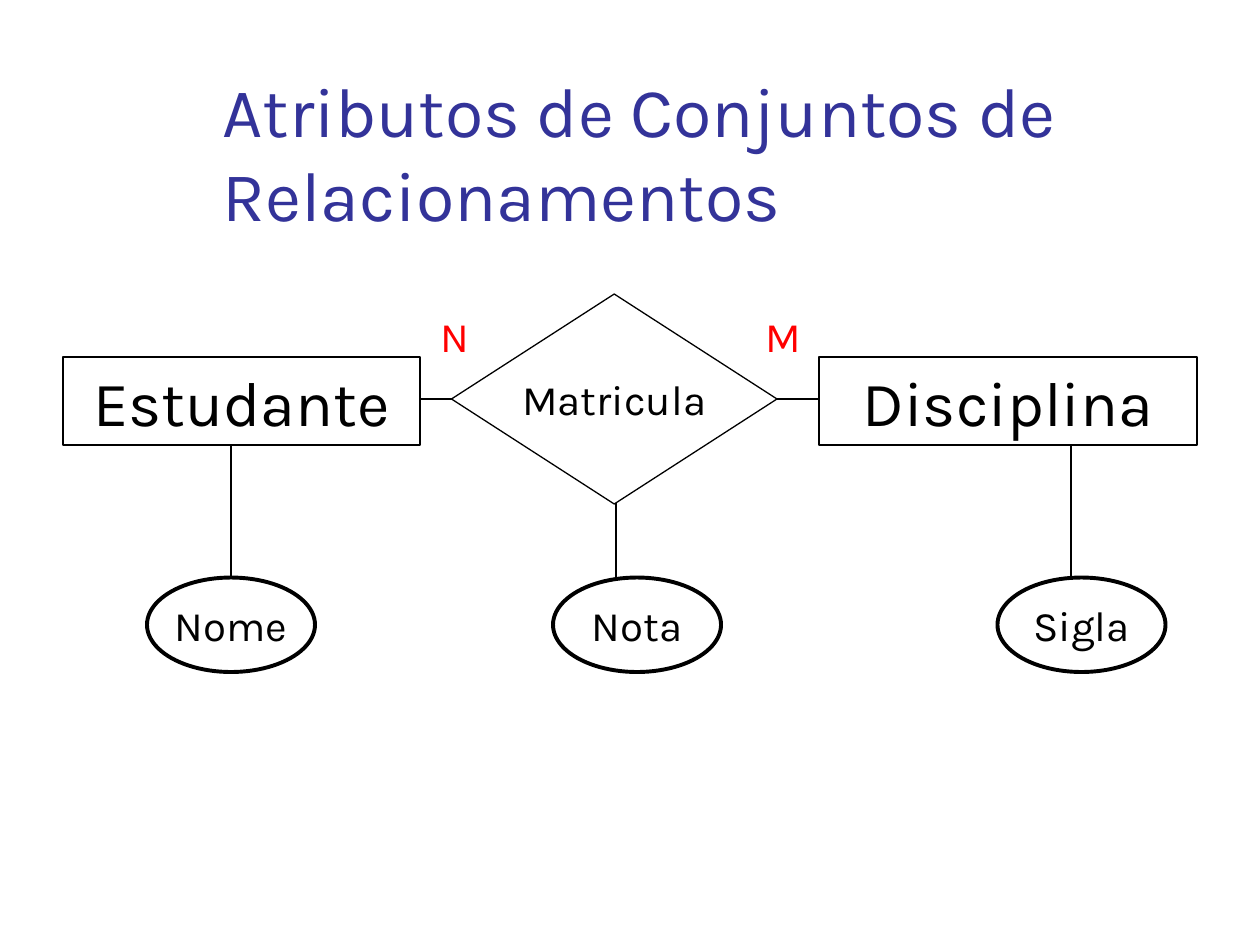
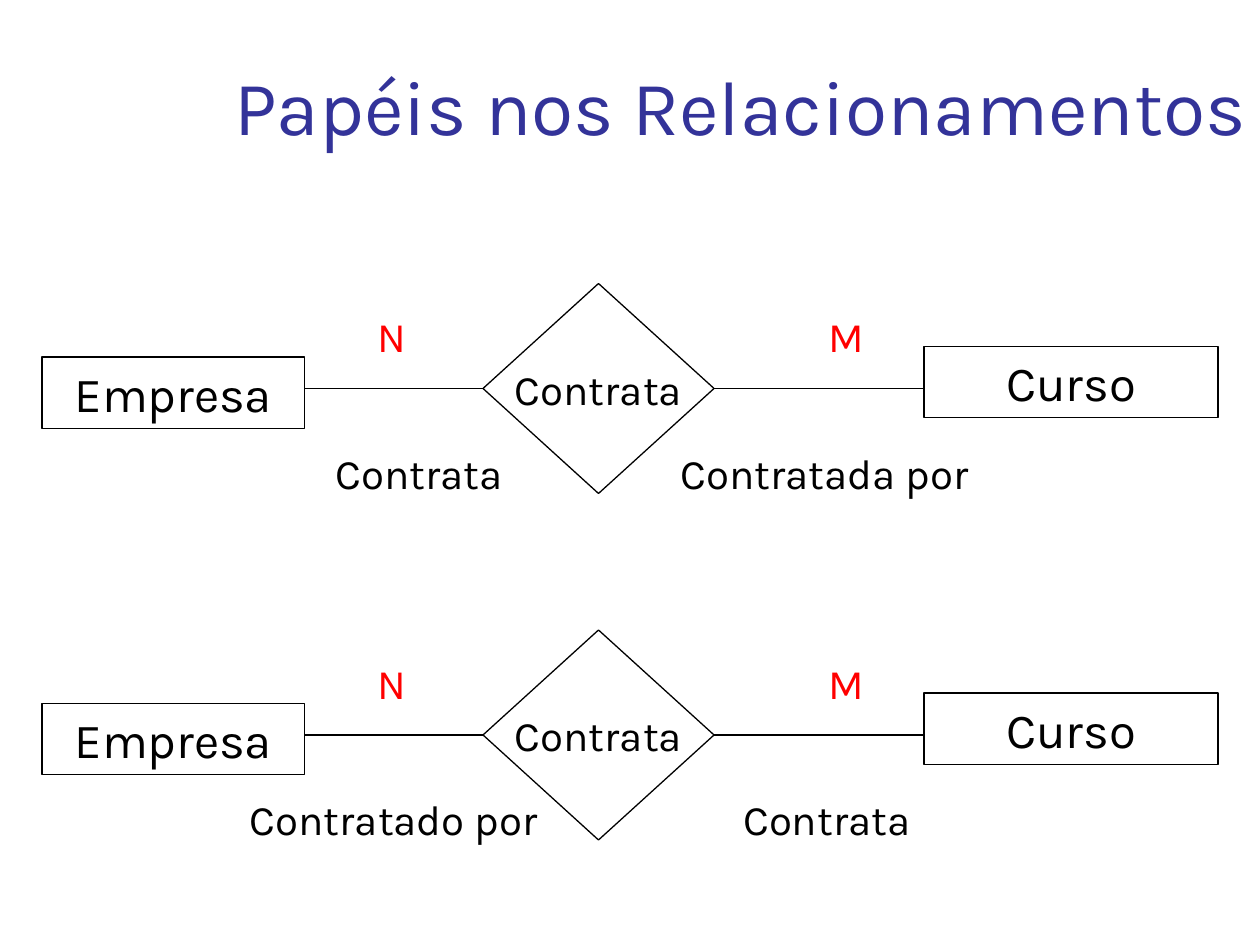
from dataclasses import dataclass

import pptx
import pptx.dml.color
import pptx.enum.shapes
import pptx.enum.text
import pptx.oxml.ns
import pptx.util
from lxml import etree

Pt = pptx.util.Pt
RGB = pptx.dml.color.RGBColor
SHAPE = pptx.enum.shapes.MSO_SHAPE
ALIGN = pptx.enum.text.PP_ALIGN
ANCHOR = pptx.enum.text.MSO_ANCHOR
AUTO = pptx.enum.text.MSO_AUTO_SIZE


@dataclass(frozen=True)
class Theme:
    font: str = "Karla"
    ink: RGB = RGB(0, 0, 0)
    paper: RGB = RGB(255, 255, 255)
    title: RGB = RGB(0x33, 0x33, 0x99)
    cardinality: RGB = RGB(255, 0, 0)
    label_size: float = 24
    entity_size: float = 28
    large_entity_size: float = 36
    thin: float = 0.75
    medium: float = 1.5
    thick: float = 2.25


THEME = Theme()


def write_text(tf, text, size=THEME.label_size, color=THEME.ink,
               align=ALIGN.CENTER, anchor=ANCHOR.TOP, wrap=False, auto=AUTO.NONE):
    tf.word_wrap = wrap
    tf.auto_size = auto
    tf.vertical_anchor = anchor
    p = tf.paragraphs[0]
    p.alignment = align
    r = p.add_run()
    r.text = text
    r.font.name = THEME.font
    r.font.size = Pt(size)
    r.font.color.rgb = color


def add_title(s, text, left, top, width, height, size, align):
    sp = s.shapes.title
    sp.left, sp.top, sp.width, sp.height = map(Pt, (left, top, width, height))
    write_text(sp.text_frame, text, size=size, color=THEME.title, align=align,
               anchor=ANCHOR.BOTTOM, wrap=True)


def add_line(s, x1, y1, x2, y2, weight=THEME.thin):
    line = s.shapes.add_connector(pptx.enum.shapes.MSO_CONNECTOR.STRAIGHT,
                                  Pt(x1), Pt(y1), Pt(x2), Pt(y2))
    line.line.color.rgb = THEME.ink
    line.line.width = Pt(weight)
    etree.SubElement(line._element.spPr, pptx.oxml.ns.qn("a:effectLst"))


def add_node(s, kind, text, left, top, width, height, weight=THEME.thin, **fmt):
    sp = s.shapes.add_shape(kind, Pt(left), Pt(top), Pt(width), Pt(height))
    sp.shadow.inherit = False
    sp.fill.solid()
    sp.fill.fore_color.rgb = THEME.paper
    sp.line.color.rgb = THEME.ink
    sp.line.width = Pt(weight)
    write_text(sp.text_frame, text, **fmt)


def add_entity(s, text, left, top, width, size):
    """Box whose height follows from one line of text."""
    add_node(s, SHAPE.RECTANGLE, text, left, top, width, 1.2 * size + 7.2,
             size=size, wrap=True, auto=AUTO.SHAPE_TO_FIT_TEXT)


def add_relationship(s, text, left, top, width):
    add_node(s, SHAPE.DIAMOND, text, left, top, width, 120, anchor=ANCHOR.MIDDLE)


def add_attribute(s, text, left, stem_x, stem_top, stem_bottom):
    """Ellipse hanging from a vertical stem."""
    add_line(s, stem_x, stem_top, stem_x, stem_bottom, THEME.medium)
    add_node(s, SHAPE.OVAL, text, left, 330, 96, 54, THEME.thick,
             anchor=ANCHOR.MIDDLE)


def add_label(s, text, left, top, width, **fmt):
    sp = s.shapes.add_textbox(Pt(left), Pt(top), Pt(width), Pt(36))
    write_text(sp.text_frame, text, auto=AUTO.SHAPE_TO_FIT_TEXT, **fmt)


def add_cardinalities(s, n_left, m_left, top):
    for text, left, width in (("N", n_left, 32.4), ("M", m_left, 36)):
        add_label(s, text, left, top, width, color=THEME.cardinality,
                  align=ALIGN.LEFT)


def add_role_diagram(s, top, roles):
    """Empresa-Curso relationship with its two roles as (text, left, width)."""
    add_line(s, 150, top + 60, 564, top + 60)
    add_relationship(s, "Contrata", 276, top, 132)
    add_entity(s, "Curso", 528, top + 36, 168, THEME.entity_size)
    add_entity(s, "Empresa", 24, top + 42, 150, THEME.entity_size)
    add_cardinalities(s, 208.8, 466.56, top + 12)
    for text, left, width in roles:
        add_label(s, text, left, top + 90, width)


def build_attributes_slide(s):
    add_title(s, "Atributos de Conjuntos de Relacionamentos",
              120, 48, 629.3, 90, 40, ALIGN.LEFT)
    add_attribute(s, "Nota", 316, 352, 246, 330)
    add_attribute(s, "Sigla", 570, 612, 252, 336)
    add_attribute(s, "Nome", 84, 132, 252, 336)
    add_line(s, 240, 228, 474, 228)
    add_relationship(s, "Matricula", 258, 168, 186)
    add_entity(s, "Estudante", 36, 204, 204, THEME.large_entity_size)
    add_entity(s, "Disciplina", 468, 204, 216, THEME.large_entity_size)
    add_cardinalities(s, 244.8, 430.56, 174)


def build_roles_slide(s):
    add_title(s, "Papéis nos Relacionamentos", 106.5, 0, 613.5, 90, 44, ALIGN.RIGHT)
    add_role_diagram(s, 162, [("Contrata", 183, 113), ("Contratada por", 378, 186.5)])
    add_role_diagram(s, 360, [("Contratado por", 131, 188), ("Contrata", 416, 113)])


def main():
    prs = pptx.Presentation()
    prs.slide_width, prs.slide_height = Pt(720), Pt(540)
    for build in (build_attributes_slide, build_roles_slide):
        s = prs.slides.add_slide(prs.slide_layouts.get_by_name("Title Only"))
        build(s)
    prs.save("out.pptx")


if __name__ == "__main__":
    main()
